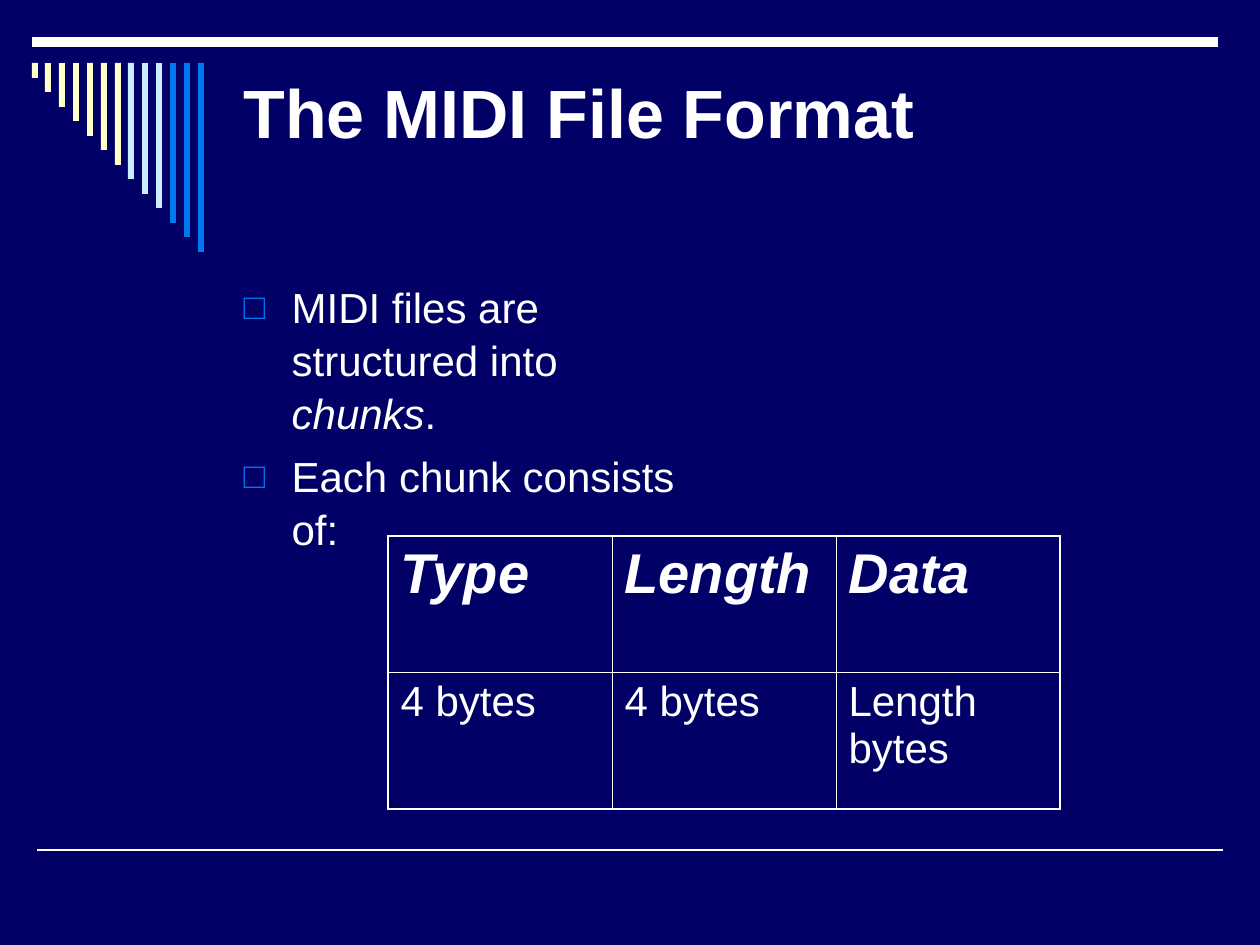
import copy

import lxml.etree
import pptx
import pptx.dml.color
import pptx.enum.shapes
import pptx.enum.text
import pptx.oxml.ns
import pptx.util

PIXEL = 914400 / 126
NAVY = pptx.dml.color.RGBColor(0x00, 0x00, 0x66)
WHITE = pptx.dml.color.RGBColor(0xFF, 0xFF, 0xFF)
CREAM = pptx.dml.color.RGBColor(0xFF, 0xFF, 0xCC)
PALE_BLUE = pptx.dml.color.RGBColor(0xCC, 0xEC, 0xFF)
BLUE = pptx.dml.color.RGBColor(0x00, 0x78, 0xF0)


def px(length):
    return round(length * PIXEL)


def add_element(parent, tag, **attributes):
    element = lxml.etree.SubElement(parent, pptx.oxml.ns.qn(tag))
    for name, value in attributes.items():
        element.set(name, str(value))
    return element


class SlideBuilder:
    font = "Arial"

    def __init__(self, slide):
        self.slide = slide
        slide.background.fill.solid()
        slide.background.fill.fore_color.rgb = NAVY

    def format_run(self, run, size, bold=False, italic=False):
        run.font.name = self.font
        run.font.size = pptx.util.Pt(size)
        run.font.color.rgb = WHITE
        run.font.bold = bold
        run.font.italic = italic

    def place(self, shape, left, top, width, height):
        shape.left, shape.top = px(left), px(top)
        shape.width, shape.height = px(width), px(height)
        shape.text_frame.auto_size = pptx.enum.text.MSO_AUTO_SIZE.NONE
        shape.text_frame.word_wrap = True

    def line(self, left, right, y, width):
        connector = self.slide.shapes.add_connector(
            pptx.enum.shapes.MSO_CONNECTOR.STRAIGHT, px(left), px(y), px(right), px(y))
        connector.line.color.rgb = WHITE
        connector.line.width = pptx.util.Pt(width)
        add_element(connector._element.spPr, "a:effectLst")

    def bar(self, left, top, width, height, color):
        shape = self.slide.shapes.add_shape(
            pptx.enum.shapes.MSO_SHAPE.RECTANGLE, px(left), px(top), px(width), px(height))
        shape.shadow.inherit = False
        shape.fill.solid()
        shape.fill.fore_color.rgb = color
        shape.line.fill.background()

    def title(self, text, left, top, width, height, size):
        shape = self.slide.shapes.title
        self.place(shape, left, top, width, height)
        shape.text_frame.vertical_anchor = pptx.enum.text.MSO_ANCHOR.MIDDLE
        shape.text_frame.text = text
        paragraph = shape.text_frame.paragraphs[0]
        paragraph.alignment = pptx.enum.text.PP_ALIGN.LEFT
        for run in paragraph.runs:
            self.format_run(run, size, bold=True)
        for line_break in paragraph._p.findall(pptx.oxml.ns.qn("a:br")):
            line_break.append(copy.deepcopy(paragraph.runs[0]._r.rPr))
        add_element(paragraph._p, "a:endParaRPr", sz=size * 100)

    def bullets(self, items, left, top, width, height, size):
        shape = self.slide.placeholders[1]
        self.place(shape, left, top, width, height)
        frame = shape.text_frame
        for index, item in enumerate(items):
            paragraph = frame.add_paragraph() if index else frame.paragraphs[0]
            paragraph.space_before = pptx.util.Pt(6)
            paragraph.line_spacing = 1.05
            for text, italic in item:
                run = paragraph.add_run()
                run.text = text
                self.format_run(run, size, italic=italic)
            self.bullet(paragraph)

    def bullet(self, paragraph):
        properties = paragraph._p.get_or_add_pPr()
        properties.set("marL", str(px(48)))
        properties.set("indent", str(-px(48)))
        add_element(add_element(properties, "a:buClr"), "a:srgbClr", val=BLUE)
        add_element(properties, "a:buSzPct", val=85000)
        add_element(properties, "a:buFont", typeface=self.font)
        add_element(properties, "a:buChar", char="□")

    def table(self, rows, left, top, width, height):
        table = self.slide.shapes.add_table(
            len(rows), len(rows[0]), px(left), px(top), px(width), px(height)).table
        table.first_row = False
        table.horz_banding = False
        last_row, last_column = len(rows) - 1, len(rows[0]) - 1
        for row, texts in enumerate(rows):
            header = row == 0
            for column, text in enumerate(texts):
                cell = table.cell(row, column)
                cell.text_frame.text = text
                paragraph = cell.text_frame.paragraphs[0]
                paragraph.space_before = pptx.util.Pt(8 if header else 6)
                self.format_run(paragraph.runs[0], 32 if header else 24, header, header)
                self.borders(cell, {"L": column == 0, "R": column == last_column,
                                    "T": row == 0, "B": row == last_row})
                cell.fill.background()

    def borders(self, cell, outer_sides):
        properties = cell._tc.get_or_add_tcPr()
        for side, outer in outer_sides.items():
            width = pptx.util.Pt(1.08 if outer else 0.45)
            border = add_element(properties, "a:ln" + side, w=int(width))
            add_element(add_element(border, "a:solidFill"), "a:srgbClr", val=WHITE)


def main():
    presentation = pptx.Presentation()
    presentation.slide_width, presentation.slide_height = px(1260), px(945)
    builder = SlideBuilder(presentation.slides.add_slide(presentation.slide_layouts[1]))

    builder.line(37, 1223, 850, 1)
    builder.line(32, 1218, 42, 6)
    bar_colors = [CREAM] * 7 + [PALE_BLUE] * 3 + [BLUE] * 3
    for index, color in enumerate(bar_colors):
        builder.bar(32 + 166 * index // 12, 63, 6, 15 + 29 * index // 2, color)

    builder.title("The MIDI File Format\v", 231, 63, 966, 179, 39)
    builder.bullets([
        [("MIDI files are structured into ", False), ("chunks", True), (".", False)],
        [("Each chunk consists of:", False)],
    ], 231, 273, 473, 567, 24)
    builder.table([
        ["Type", "Length", "Data"],
        ["4 bytes", "4 bytes", "Length bytes"],
    ], 388, 536, 672, 273)

    presentation.save("out.pptx")


if __name__ == "__main__":
    main()
